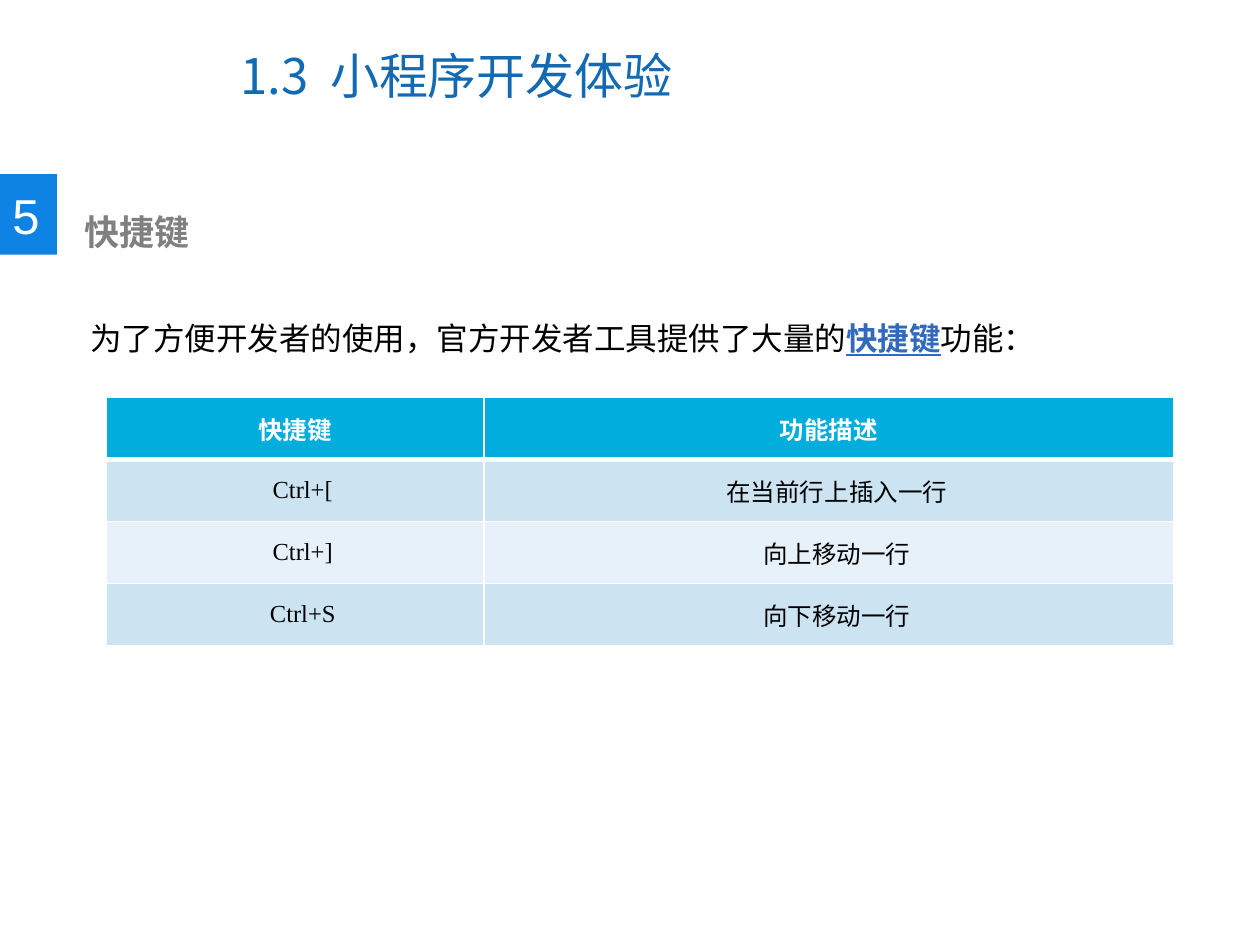
import pptx
import pptx.dml.color
import pptx.enum.shapes
import pptx.enum.text
import pptx.oxml
import pptx.oxml.ns
import pptx.util

Pt = pptx.util.Pt
CENTER = pptx.enum.text.PP_ALIGN.CENTER
MIDDLE = pptx.enum.text.MSO_ANCHOR.MIDDLE
RECTANGLE = pptx.enum.shapes.MSO_SHAPE.RECTANGLE
HAN_FONT = "Noto Sans CJK SC"


def color(value):
    return pptx.dml.color.RGBColor.from_string(value)


def paint(target, value):
    target.fill.solid()
    target.fill.fore_color.rgb = color(value)


class SlideBuilder:
    def __init__(self, page):
        self.page = page
        self.latin_font = "Arial"
        self.border = "FFFFFF"

    def style(self, para, size, ink, name=None, bold=False):
        font = para.font
        font.size = Pt(size)
        font.bold = bold
        font.color.rgb = color(ink)
        font.name = name or self.latin_font
        east_asian = pptx.oxml.parse_xml(
            f'<a:ea {pptx.oxml.ns.nsdecls("a")} typeface="{HAN_FONT}"/>')
        font._element.append(east_asian)

    def text(self, left, top, width, height, words, size, ink, name=None,
             bold=False, anchor=None, spacing=None, wrap=True):
        box = self.page.shapes.add_textbox(Pt(left), Pt(top), Pt(width), Pt(height))
        frame = box.text_frame
        frame.word_wrap = wrap
        frame.vertical_anchor = anchor
        para = frame.paragraphs[0]
        para.line_spacing = spacing
        spans = []
        for word in words:
            span = para.add_run()
            span.text = word
            spans.append(span)
        self.style(para, size, ink, name, bold)
        return spans

    def block(self, left, top, width, height, fill):
        shape = self.page.shapes.add_shape(
            RECTANGLE, Pt(left), Pt(top), Pt(width), Pt(height))
        shape.shadow.inherit = False
        paint(shape, fill)
        shape.line.fill.background()

    def cell_borders(self, cell, top, bottom):
        properties = cell._tc.get_or_add_tcPr()
        widths = {"lnL": 1, "lnR": 1, "lnT": top, "lnB": bottom}
        for index, (side, width) in enumerate(widths.items()):
            line = pptx.oxml.parse_xml(
                f'<a:{side} {pptx.oxml.ns.nsdecls("a")} w="{Pt(width)}">'
                f'<a:solidFill><a:srgbClr val="{self.border}"/></a:solidFill></a:{side}>')
            properties.insert(index, line)

    def table(self, left, top, widths, row_height, rows, header_fill, band_fills):
        frame = self.page.shapes.add_table(
            len(rows), len(widths), Pt(left), Pt(top),
            Pt(sum(widths)), Pt(row_height * len(rows)))
        table = frame.table
        for column, width in zip(table.columns, widths):
            column.width = Pt(width)
        for index, row in enumerate(rows):
            table.rows[index].height = Pt(row_height)
            header = index == 0
            for column, words in enumerate(row):
                cell = table.cell(index, column)
                cell.text = words
                cell.vertical_anchor = MIDDLE
                cell.margin_left = Pt(6 if header else 15)
                cell.margin_right = Pt(6)
                cell.margin_top = cell.margin_bottom = 0
                paint(cell, header_fill if header else band_fills[(index - 1) % 2])
                self.cell_borders(cell, 3 if index == 1 else 1, 3 if header else 1)
                para = cell.text_frame.paragraphs[0]
                para.alignment = CENTER
                self.style(para, 14, "FFFFFF" if header else "000000",
                           "Times New Roman", header)


def main():
    deck = pptx.Presentation()
    deck.slide_width, deck.slide_height = Pt(720), Pt(540)
    builder = SlideBuilder(deck.slides.add_slide(deck.slide_layouts[6]))

    title = builder.text(130.5, 12.5, 371.5, 61, ["1.3", " ", "小程序开发体验"],
                         28, "1369B2", HAN_FONT, anchor=MIDDLE)
    title[1].font._element.set("spc", "600")

    builder.block(0, 99.5, 32.5, 46, "0F83E3")
    builder.text(0, 102.5, 30, 41, ["5"], 28, "FFFFFF", wrap=False)
    builder.text(41, 117, 363, 32, ["快捷键"], 20, "808080", HAN_FONT, bold=True)

    intro = builder.text(
        44.5, 157, 623, 51,
        ["为了方便开发者的使用，官方开发者工具提供了大量的", "快捷键", "功能："],
        18, "000000", spacing=2)
    keyword = intro[1].font
    keyword.bold = keyword.underline = True
    keyword.color.rgb = color("3169BD")

    shortcuts = [
        ("快捷键", "功能描述"),
        ("Ctrl+[", "在当前行上插入一行"),
        ("Ctrl+]", "向上移动一行"),
        ("Ctrl+S", "向下移动一行"),
    ]
    builder.table(60.5, 227, [216, 394.5], 35.5, shortcuts,
                  "00ADDC", ["CCE3F2", "E7F1F9"])
    deck.save("out.pptx")


if __name__ == "__main__":
    main()
